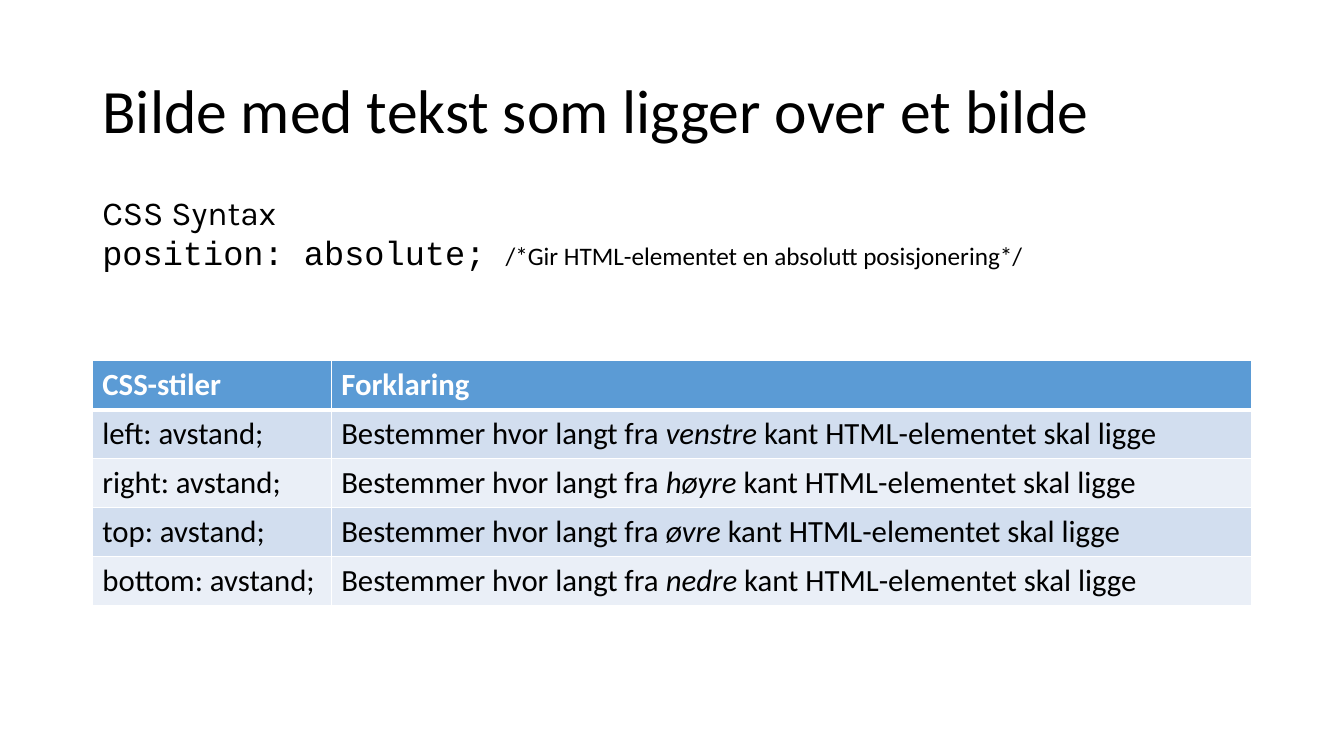
import pptx
import pptx.dml.color
import pptx.enum.text
import pptx.oxml
import pptx.oxml.ns
import pptx.util
from dataclasses import dataclass

Pt = pptx.util.Pt
RGB = pptx.dml.color.RGBColor.from_string


@dataclass(frozen=True)
class Theme:
    text: str = "000000"
    white: str = "FFFFFF"
    header: str = "5B9BD5"
    bands: tuple = ("D2DEEF", "EAEFF7")
    font: str = "Calibri"
    code_font: str = "Courier New"
    syntax_font: str = "Karla"
    title: int = 44
    syntax: int = 24
    cell: int = 22
    comment: int = 18


T = Theme()


def add_run(p, text, size=T.cell, font=T.font, color=T.text, bold=False, italic=False):
    r = p.add_run()
    r.text = text
    r.font.size, r.font.name = Pt(size), font
    r.font.bold, r.font.italic = bold, italic
    r.font.color.rgb = RGB(color)


def set_borders(cell, top, bottom):
    """Draw white cell borders, 1 pt at the sides and as given above and below."""
    for side, width in (("L", 1), ("R", 1), ("T", top), ("B", bottom)):
        cell._tc.get_or_add_tcPr().append(pptx.oxml.parse_xml(
            f'<a:ln{side} {pptx.oxml.ns.nsdecls("a")} w="{Pt(width)}"><a:solidFill>'
            f'<a:srgbClr val="{T.white}"/></a:solidFill></a:ln{side}>'))


LEFT, WIDTH = Pt(66), Pt(828)

prs = pptx.Presentation()
prs.slide_width, prs.slide_height = Pt(960), Pt(540)
s = prs.slides.add_slide(prs.slide_layouts[5])

# Title
sp = s.shapes.title
sp.left, sp.top, sp.width, sp.height = LEFT, Pt(28.75), WIDTH, Pt(104.4)
tf = sp.text_frame
tf.word_wrap = True
tf.auto_size = pptx.enum.text.MSO_AUTO_SIZE.NONE
tf.vertical_anchor = pptx.enum.text.MSO_ANCHOR.MIDDLE
p = tf.paragraphs[0]
p.alignment = pptx.enum.text.PP_ALIGN.LEFT
p.line_spacing = 0.9
add_run(p, "Bilde med tekst som ligger over et bilde", size=T.title)

# Table of CSS properties
rows = [("left", "venstre"), ("right", "høyre"), ("top", "øvre"), ("bottom", "nedre")]
table = s.shapes.add_table(len(rows) + 1, 2, LEFT, Pt(257.75), WIDTH, Pt(175)).table
table.columns[0].width, table.columns[1].width = Pt(170.6), Pt(657.4)

for i, row in enumerate(table.rows):
    row.height = Pt(35)
    for cell in row.cells:
        set_borders(cell, top=3 if i == 1 else 1, bottom=3 if i == 0 else 1)
        cell.fill.solid()
        cell.fill.fore_color.rgb = RGB(T.bands[(i - 1) % 2] if i else T.header)

for cell, text in zip(table.rows[0].cells, ("CSS-stiler", "Forklaring")):
    add_run(cell.text_frame.paragraphs[0], text, color=T.white, bold=True)

for i, (prop, edge) in enumerate(rows, 1):
    add_run(table.cell(i, 0).text_frame.paragraphs[0], f"{prop}: avstand;")
    p = table.cell(i, 1).text_frame.paragraphs[0]
    add_run(p, "Bestemmer hvor langt fra ")
    add_run(p, edge, italic=True)
    add_run(p, " kant HTML-elementet skal ligge")

# Syntax
tf = s.shapes.add_textbox(LEFT, Pt(133.2), WIDTH, Pt(65.5)).text_frame
tf.word_wrap = True
tf.auto_size = pptx.enum.text.MSO_AUTO_SIZE.SHAPE_TO_FIT_TEXT
add_run(tf.paragraphs[0], "CSS Syntax", size=T.syntax, font=T.syntax_font)
p = tf.add_paragraph()
add_run(p, "position: absolute; ", size=T.syntax, font=T.code_font)
add_run(p, "/*Gir HTML-elementet en absolutt posisjonering*/", size=T.comment)

prs.save("out.pptx")
